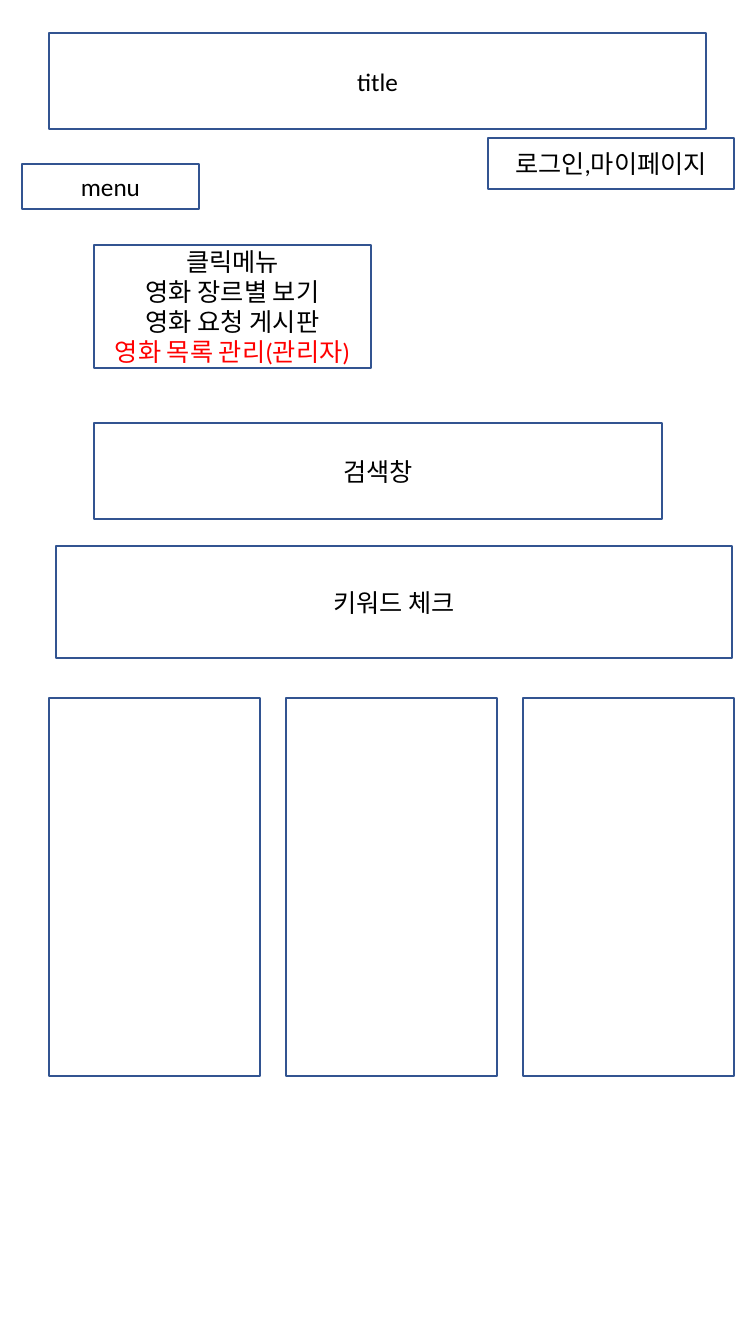
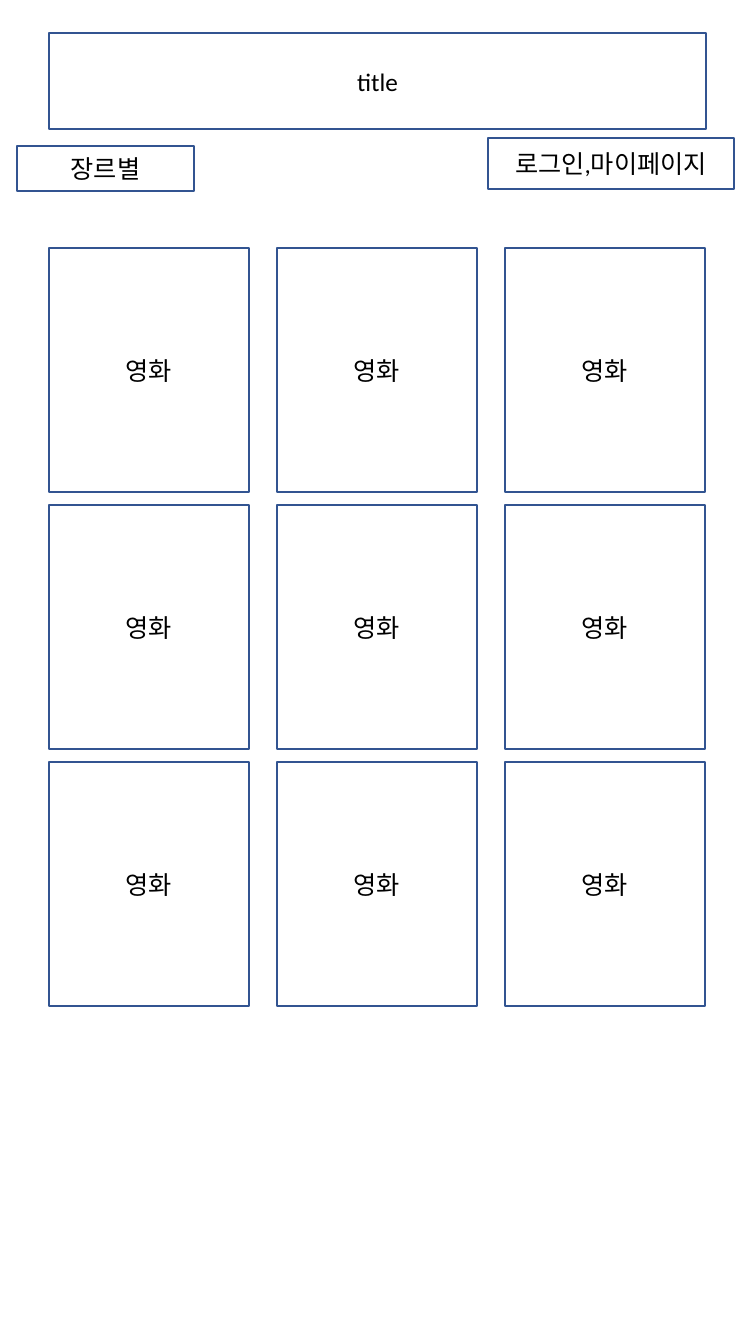
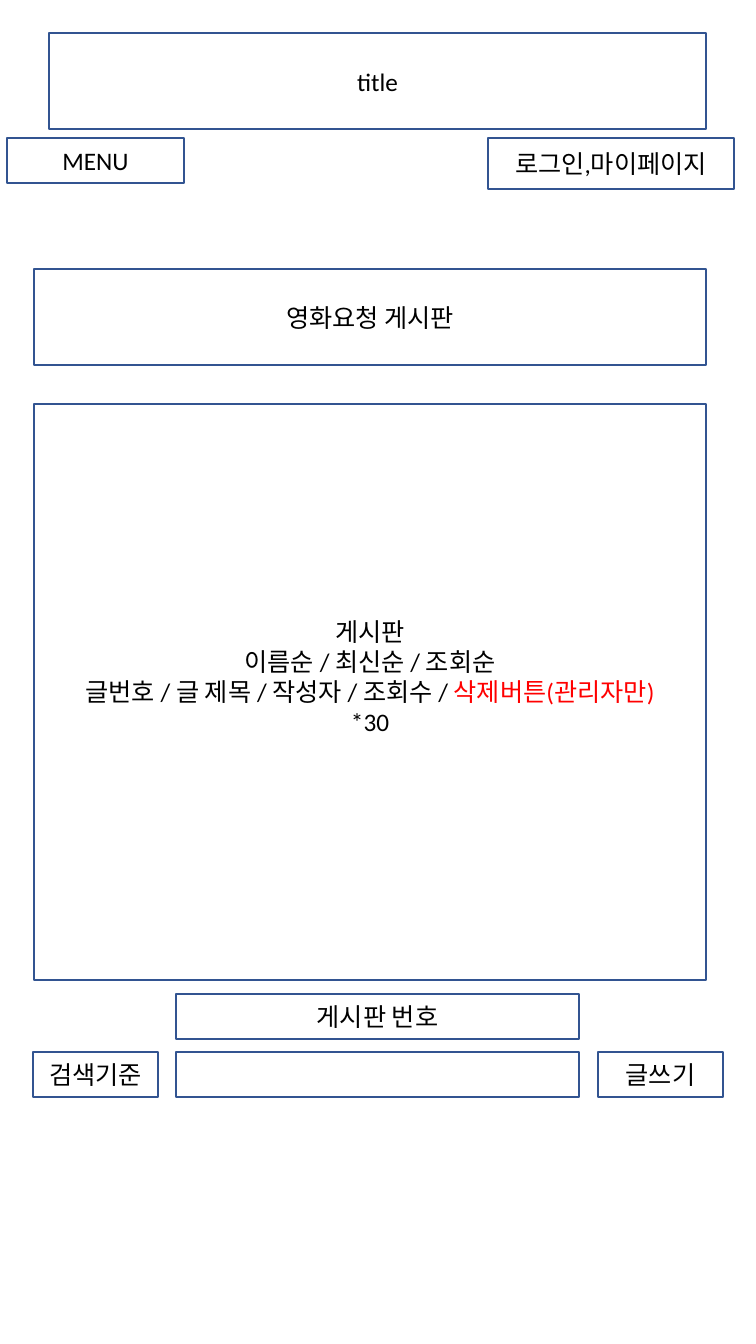
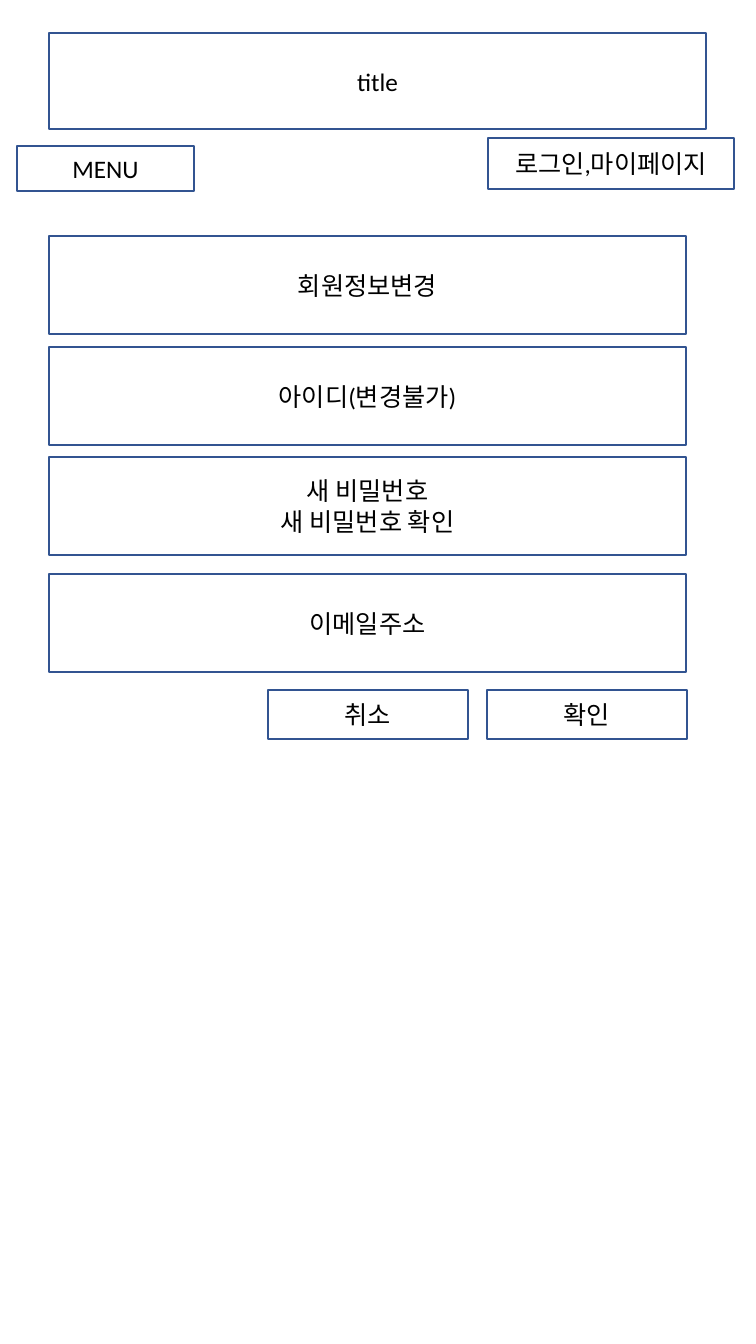
import pptx
import pptx.dml.color
import pptx.enum.shapes
import pptx.enum.text
import pptx.util

RGBColor = pptx.dml.color.RGBColor
WHITE = RGBColor(0xFF, 0xFF, 0xFF)
OUTLINE = RGBColor(0x32, 0x54, 0x91)
BLACK = RGBColor(0x00, 0x00, 0x00)
ADMIN_RED = RGBColor(0xFF, 0x00, 0x00)
FONT = "Calibri"
TEXT_SIZE = 18
PX_PER_INCH = 100.8
MENU_SIZE = (177, 45)


def px(length):
    return pptx.util.Inches(length / PX_PER_INCH)


def admin(text):
    return text, ADMIN_RED


def write_line(paragraph, line):
    runs = line if isinstance(line, list) else [line]
    parts = [part if isinstance(part, tuple) else (part, BLACK) for part in runs]
    paragraph.alignment = pptx.enum.text.PP_ALIGN.CENTER
    paragraph.font.name = FONT
    paragraph.font.size = pptx.util.Pt(TEXT_SIZE)
    same_color = len({color for _, color in parts}) == 1
    if same_color:
        paragraph.font.color.rgb = parts[0][1]
    for text, color in parts:
        run = paragraph.add_run()
        run.text = text
        if not same_color:
            run.font.name = FONT
            run.font.size = pptx.util.Pt(TEXT_SIZE)
            run.font.color.rgb = color


def add_box(slide, left, top, width, height, *lines):
    box = slide.shapes.add_shape(
        pptx.enum.shapes.MSO_SHAPE.RECTANGLE,
        px(left), px(top), px(width), px(height),
    )
    box.shadow.inherit = False
    box.fill.solid()
    box.fill.fore_color.rgb = WHITE
    box.line.color.rgb = OUTLINE
    box.line.width = pptx.util.Pt(1)
    frame = box.text_frame
    frame.word_wrap = True
    frame.vertical_anchor = pptx.enum.text.MSO_ANCHOR.MIDDLE
    for index, line in enumerate(lines):
        paragraph = frame.add_paragraph() if index else frame.paragraphs[0]
        write_line(paragraph, line)
    return box


def add_grid(slide, left, top, width, height, gaps, columns, rows, *lines):
    for row in range(rows):
        for column in range(columns):
            add_box(
                slide,
                left + column * (width + gaps[0]),
                top + row * (height + gaps[1]),
                width, height, *lines,
            )


def add_page(deck, menu_text, menu_left, menu_top):
    slide = deck.slides.add_slide(deck.slide_layouts[6])
    add_box(slide, 49, 33, 657, 96, "title")
    add_box(slide, menu_left, menu_top, *MENU_SIZE, menu_text)
    add_box(slide, 488, 138, 246, 51, "로그인,마이페이지")
    return slide


def build_home(deck):
    slide = add_page(deck, "menu", 22, 164)
    add_box(
        slide, 94, 245, 277, 123,
        "클릭메뉴", "영화 장르별 보기", "영화 요청 게시판",
        admin("영화 목록 관리(관리자)"),
    )
    add_box(slide, 94, 423, 568, 96, "검색창")
    add_box(slide, 56, 546, 676, 112, "키워드 체크")
    add_grid(slide, 49, 698, 211, 378, (26, 0), 3, 1)


def build_genres(deck):
    slide = add_page(deck, "장르별", 17, 146)
    add_grid(slide, 49, 248, 200, 244, (28, 13), 3, 3, "영화")


def build_request_board(deck):
    slide = add_page(deck, "MENU", 7, 138)
    add_box(slide, 34, 269, 672, 96, "영화요청 게시판")
    board = add_box(
        slide, 34, 404, 672, 576,
        "게시판",
        "이름순 / 최신순 / 조회순",
        ["글번호 / 글 제목 / 작성자 / 조회수 / ", admin("삭제버튼(관리자만)")],
        "*30",
    )
    board.text_frame.margin_bottom = px(36)
    add_box(slide, 176, 994, 403, 45, "게시판 번호")
    search_top = 1052
    add_box(slide, 33, search_top, 125, 45, "검색기준")
    add_box(slide, 176, search_top, 403, 45)
    add_box(slide, 598, search_top, 125, 45, "글쓰기")


def build_account(deck):
    slide = add_page(deck, "MENU", 17, 146)
    fields = [
        (236, ["회원정보변경"]),
        (347, ["아이디(변경불가)"]),
        (457, ["새 비밀번호", "새 비밀번호 확인"]),
        (574, ["이메일주소"]),
    ]
    for top, lines in fields:
        add_box(slide, 49, top, 637, 98, *lines)
    for left, label in ((268, "취소"), (487, "확인")):
        add_box(slide, left, 690, 200, 49, label)


def main():
    deck = pptx.Presentation()
    deck.slide_width = px(756)
    deck.slide_height = px(1344)
    build_home(deck)
    build_genres(deck)
    build_request_board(deck)
    build_account(deck)
    deck.save("out.pptx")


if __name__ == "__main__":
    main()
